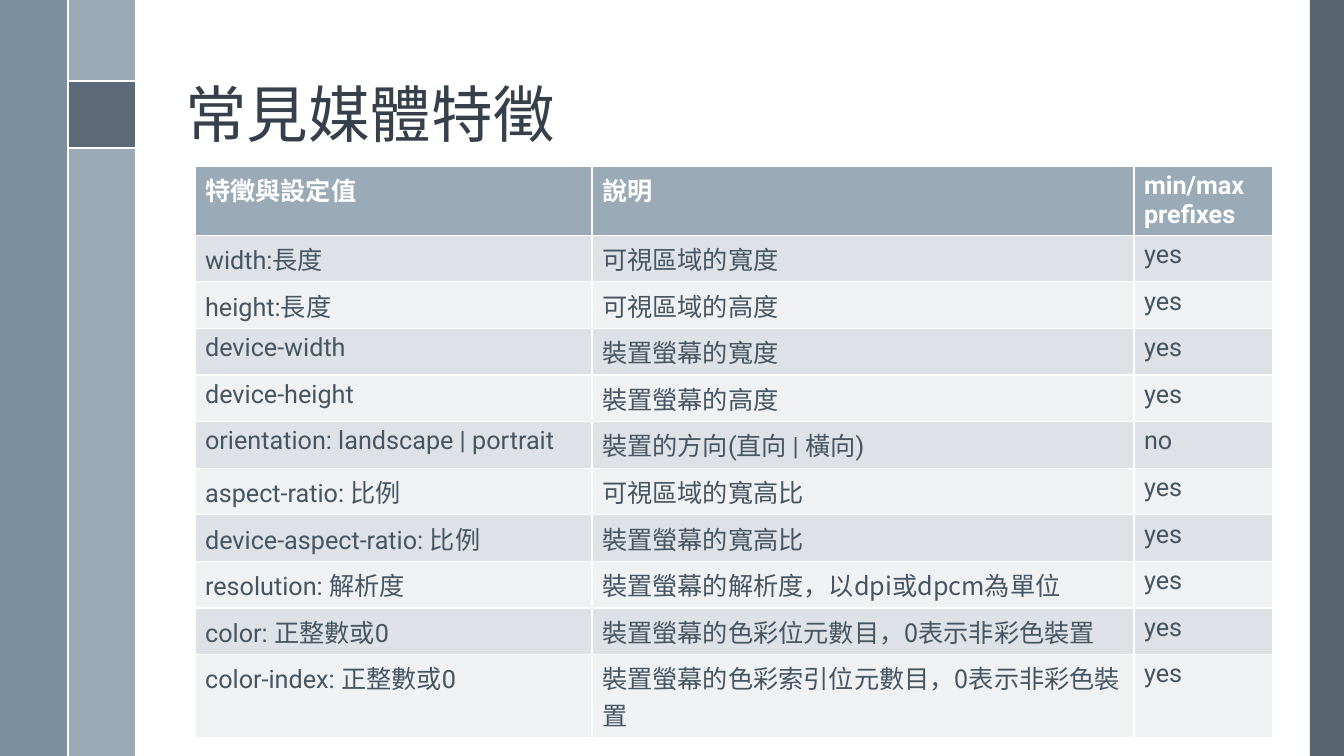
from lxml.etree import SubElement as Sub
from pptx import Presentation
from pptx.dml.color import RGBColor as RGB
from pptx.enum.shapes import MSO_CONNECTOR as LINK, MSO_SHAPE as SHAPE
from pptx.enum.text import MSO_ANCHOR as ANCHOR, MSO_AUTO_SIZE as FIT, PP_ALIGN as ALIGN
from pptx.oxml.ns import qn
from pptx.util import Emu, Pt

WHITE = RGB(0xFF, 0xFF, 0xFF)
SLATE = RGB(0x47, 0x55, 0x62)
MIST = RGB(0x9B, 0xAA, 0xB7)
STEEL = RGB(0x6A, 0x80, 0x93)
INK = RGB(0x35, 0x40, 0x4A)
BODY = RGB(0x46, 0x55, 0x62)
BANDS = RGB(0xEF, 0xF1, 0xF3), RGB(0xDE, 0xE2, 0xE6)
LATIN, HAN = "Roboto", "Noto Sans CJK TC"
WIDE, HIGH = 1344, 756

TITLE = "常見媒體特徵"
ROWS = [
    ("特徵與設定值", ["說明"], "min/max prefixes"),
    ("width:長度", ["可視區域的寬度"], "yes"),
    ("height:長度", ["可視區域的高度"], "yes"),
    ("device-width", ["裝置螢幕的寬度"], "yes"),
    ("device-height", ["裝置螢幕的高度"], "yes"),
    ("orientation: landscape | portrait", ["裝置的方向(直向 | 橫向)"], "no"),
    ("aspect-ratio: 比例", ["可視區域的寬高比"], "yes"),
    ("device-aspect-ratio: 比例", ["裝置螢幕的寬高比"], "yes"),
    ("resolution: 解析度", ["裝置螢幕的解析度", "，以dpi或dpcm為單位"], "yes"),
    ("color: 正整數或0", ["裝置螢幕的色彩位元數目", "，0表示非彩色裝置"], "yes"),
    ("color-index: 正整數或0", ["裝置螢幕的色彩索引位元數目", "，0表示非彩色裝置"], "yes"),
]
COLS = [397, 542, 139]
ROW = 41
BARS = [
    ((1310, 0, 34, HIGH), SLATE, 90),
    ((68, 0, 67, HIGH), MIST, 100),
    ((0, 0, 67, HIGH), STEEL, 88),
    ((68, 81, 67, 67), SLATE, 75),
]
RULES = [(68, 81, 135, 81), (68, 148, 135, 148), (68, 0, 68, HIGH)]


def px(*vals):
    return [Emu(round(v * 914400 / 100.8)) for v in vals]


def style(run, size, color, face, bold=False):
    font = run.font
    font.size, font.bold, font.name = Pt(size), bold, face
    font.color.rgb = color
    Sub(run._r.rPr, qn("a:ea"), typeface=HAN)


def add_bars(slide):
    for box, color, alpha in BARS:
        bar = slide.shapes.add_shape(SHAPE.RECTANGLE, *px(*box))
        bar.shadow.inherit = False
        bar.fill.solid()
        bar.fill.fore_color.rgb = color
        bar.line.fill.background()
        if alpha < 100:
            tint = bar._element.spPr.find(".//" + qn("a:srgbClr"))
            Sub(tint, qn("a:alpha"), val=str(alpha * 1000))
    for ends in RULES:
        rule = slide.shapes.add_connector(LINK.STRAIGHT, *px(*ends))
        rule.line.color.rgb = WHITE
        rule.line.width = Pt(1.5)
        Sub(rule._element.spPr, qn("a:effectLst"))


def add_title(slide):
    title = slide.shapes.title
    title.left, title.top, title.width, title.height = px(175, 19, 1079, 137)
    frame = title.text_frame
    frame.text = TITLE
    frame.auto_size = FIT.NONE
    frame.vertical_anchor = ANCHOR.BOTTOM
    para = frame.paragraphs[0]
    para.alignment, para.line_spacing = ALIGN.LEFT, 0.9
    style(para.runs[0], 44, INK, HAN)


def add_grid(slide):
    box = px(195, 166, sum(COLS), ROW * len(ROWS))
    grid = slide.shapes.add_table(len(ROWS), len(COLS), *box).table
    for col, wide in zip(grid.columns, px(*COLS)):
        col.width = wide
    for r, (name, parts, prefix) in enumerate(ROWS):
        head = r == 0
        for c, texts in enumerate(([name], parts, [prefix])):
            cell = grid.cell(r, c)
            cell.fill.solid()
            cell.fill.fore_color.rgb = MIST if head else BANDS[r % 2]
            para = cell.text_frame.paragraphs[0]
            for i, text in enumerate(texts):
                run = para.add_run()
                run.text = text
                style(run, 18, WHITE if head else BODY, HAN if i else LATIN, head)


def main():
    """Build the slide on common media features."""
    deck = Presentation()
    deck.slide_width, deck.slide_height = px(WIDE, HIGH)
    slide = deck.slides.add_slide(deck.slide_layouts[5])
    add_bars(slide)
    add_title(slide)
    add_grid(slide)
    deck.save("out.pptx")


if __name__ == "__main__":
    main()
